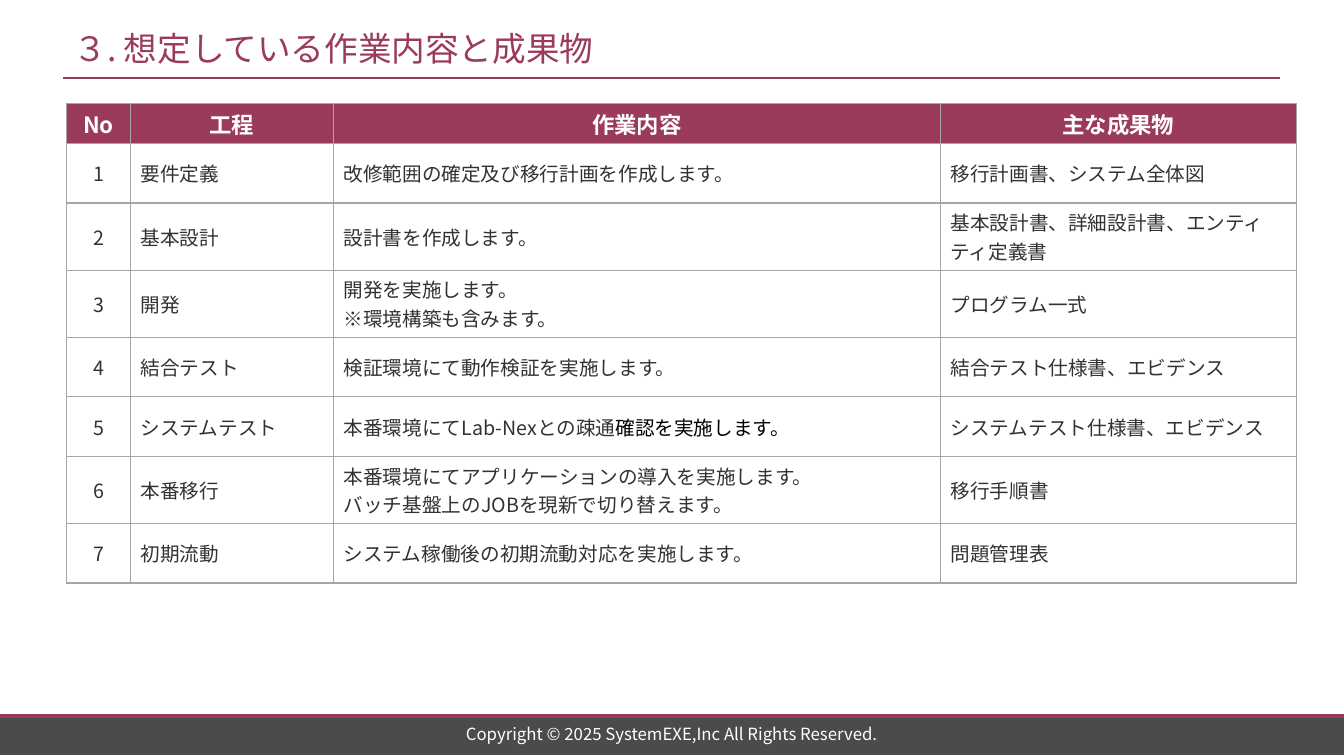
"""Build the slide listing the planned work and deliverables of each phase."""
from dataclasses import dataclass

from lxml import etree
from pptx import Presentation
from pptx import util as u
from pptx.dml.color import RGBColor
from pptx.enum import lang, shapes, text
from pptx.oxml import ns


@dataclass(frozen=True)
class Theme:
    """Colours, fonts, type sizes and row heights."""
    accent: str = "9A3B5D"
    band: str = "4B4B4B"
    border: str = "A6A6A6"
    body: str = "323232"
    black: str = "000000"
    white: str = "FFFFFF"
    font: str = "Noto Sans CJK JP"
    latin: str = "Calibri"
    title_size: float = 24
    header_size: float = 16
    body_size: float = 14
    footer_size: float = 12
    header_row: float = 28.6
    one_line_row: float = 42.6
    two_line_row: float = 47.9


HEADER = ("No", "工程", "作業内容", "主な成果物")
PHASES = (
    ("要件定義", "改修範囲の確定及び移行計画を作成します。", "移行計画書、システム全体図"),
    ("基本設計", "設計書を作成します。", "基本設計書、詳細設計書、エンティティ定義書"),
    ("開発", "開発を実施します。\n※環境構築も含みます。", "プログラム一式"),
    ("結合テスト", "検証環境にて動作検証を実施します。", "結合テスト仕様書、エビデンス"),
    ("システムテスト", "本番環境にてLab-Nexとの疎通", "システムテスト仕様書、エビデンス"),
    ("本番移行", "本番環境にてアプリケーションの導入を実施します。\n"
     "バッチ基盤上のJOBを現新で切り替えます。", "移行手順書"),
    ("初期流動", "システム稼働後の初期流動対応を実施します。", "問題管理表"),
)
TWO_LINE_PHASES = ("基本設計", "開発", "本番移行")


class SlideBuilder:
    """Draw styled elements on one slide, with lengths in points."""

    def __init__(self, slide, theme):
        self.slide = slide
        self.theme = theme

    def style(self, run, size, color, bold=False, font=None):
        """Format one run for Latin and East Asian text."""
        run.font.size = u.Pt(size)
        run.font.bold = bold
        run.font.name = font or self.theme.font
        run.font.color.rgb = RGBColor.from_string(color)
        run.font.language_id = lang.MSO_LANGUAGE_ID.JAPANESE
        east_asian = etree.SubElement(run.font._element, ns.qn("a:ea"))
        east_asian.set("typeface", self.theme.font)

    def fill_frame(self, frame, content, size, color, bold=False, centred=False):
        """Put formatted text into a text frame."""
        frame.text = content
        for paragraph in frame.paragraphs:
            paragraph.alignment = text.PP_ALIGN.CENTER if centred else text.PP_ALIGN.LEFT
            for run in paragraph.runs:
                self.style(run, size, color, bold)

    def label(self, content, left, top, width, height, size, color, centred=False):
        """Add a vertically centred text box."""
        box = self.slide.shapes.add_textbox(*map(u.Pt, (left, top, width, height)))
        box.text_frame.word_wrap = True
        box.text_frame.vertical_anchor = text.MSO_ANCHOR.MIDDLE
        self.fill_frame(box.text_frame, content, size, color, centred=centred)

    def band(self, left, top, width, height, color):
        """Add a filled rectangle without outline."""
        bar = self.slide.shapes.add_shape(
            shapes.MSO_SHAPE.RECTANGLE, *map(u.Pt, (left, top, width, height)))
        bar.shadow.inherit = False
        bar.fill.solid()
        bar.fill.fore_color.rgb = RGBColor.from_string(color)
        bar.line.fill.background()

    def rule(self, left, right, y, weight):
        """Add a horizontal accent line."""
        line = self.slide.shapes.add_connector(
            shapes.MSO_CONNECTOR.STRAIGHT, *map(u.Pt, (left, y, right, y)))
        line.line.color.rgb = RGBColor.from_string(self.theme.accent)
        line.line.width = u.Pt(weight)
        etree.SubElement(line._element.spPr, ns.qn("a:effectLst"))

    def outline(self, cell, weight=1):
        """Draw the four borders of a table cell."""
        properties = cell._tc.get_or_add_tcPr()
        for position, side in enumerate(("lnL", "lnR", "lnT", "lnB")):
            border = etree.Element(ns.qn(f"a:{side}"), w=str(u.Pt(weight)))
            fill = etree.SubElement(border, ns.qn("a:solidFill"))
            etree.SubElement(fill, ns.qn("a:srgbClr"), val=self.theme.border)
            properties.insert(position, border)

    def table(self, rows, left, top, widths, heights):
        """Add a bordered table with a coloured header and return it."""
        theme = self.theme
        grid = self.slide.shapes.add_table(
            len(rows), len(widths),
            *map(u.Pt, (left, top, sum(widths), sum(heights)))).table
        grid.first_row = grid.horz_banding = False
        for column, width in zip(grid.columns, widths):
            column.width = u.Pt(width)
        for r, (row, height) in enumerate(zip(rows, heights)):
            grid.rows[r].height = u.Pt(height)
            for c, content in enumerate(row):
                cell = grid.cell(r, c)
                cell.vertical_anchor = text.MSO_ANCHOR.MIDDLE
                compact = r == 0 or c == 0
                if compact:
                    cell.margin_left = cell.margin_right = u.Pt(2.9)
                    cell.margin_top = cell.margin_bottom = u.Pt(2.9)
                if r == 0:
                    cell.fill.solid()
                    cell.fill.fore_color.rgb = RGBColor.from_string(theme.accent)
                    size, color = theme.header_size, theme.white
                else:
                    cell.fill.background()
                    size, color = theme.body_size, theme.body
                self.fill_frame(cell.text_frame, content, size, color, r == 0, compact)
                self.outline(cell)
        return grid


def main():
    """Build and save the slide."""
    theme = Theme()
    deck = Presentation()
    deck.slide_width, deck.slide_height = u.Pt(960), u.Pt(540)
    page = SlideBuilder(deck.slides.add_slide(deck.slide_layouts[6]), theme)

    page.band(0, 511.2, 960, 28.1, theme.band)
    page.rule(0, 960, 511.6, 2.75)
    page.rule(45, 914.4, 55.8, 1.5)
    page.label("３. 想定している作業内容と成果物", 45.4, 14.4, 869, 39.6,
               theme.title_size, theme.accent)

    rows = [HEADER] + [(str(number), *phase) for number, phase in enumerate(PHASES, 1)]
    heights = [theme.header_row] + [
        theme.two_line_row if name in TWO_LINE_PHASES else theme.one_line_row
        for name, *_ in PHASES]
    phases = page.table(rows, 47.6, 73.9, (45.6, 145, 433.6, 254.4), heights)
    confirmation = phases.cell(5, 2).text_frame.paragraphs[0].add_run()
    confirmation.text = "確認を実施します。"
    page.style(confirmation, theme.body_size, theme.black, font=theme.latin)

    page.label("Copyright © 2025 SystemEXE,Inc All Rights Reserved.",
               239, 515.6, 481.7, 17.3, theme.footer_size, theme.white, centred=True)
    deck.save("out.pptx")


if __name__ == "__main__":
    main()
